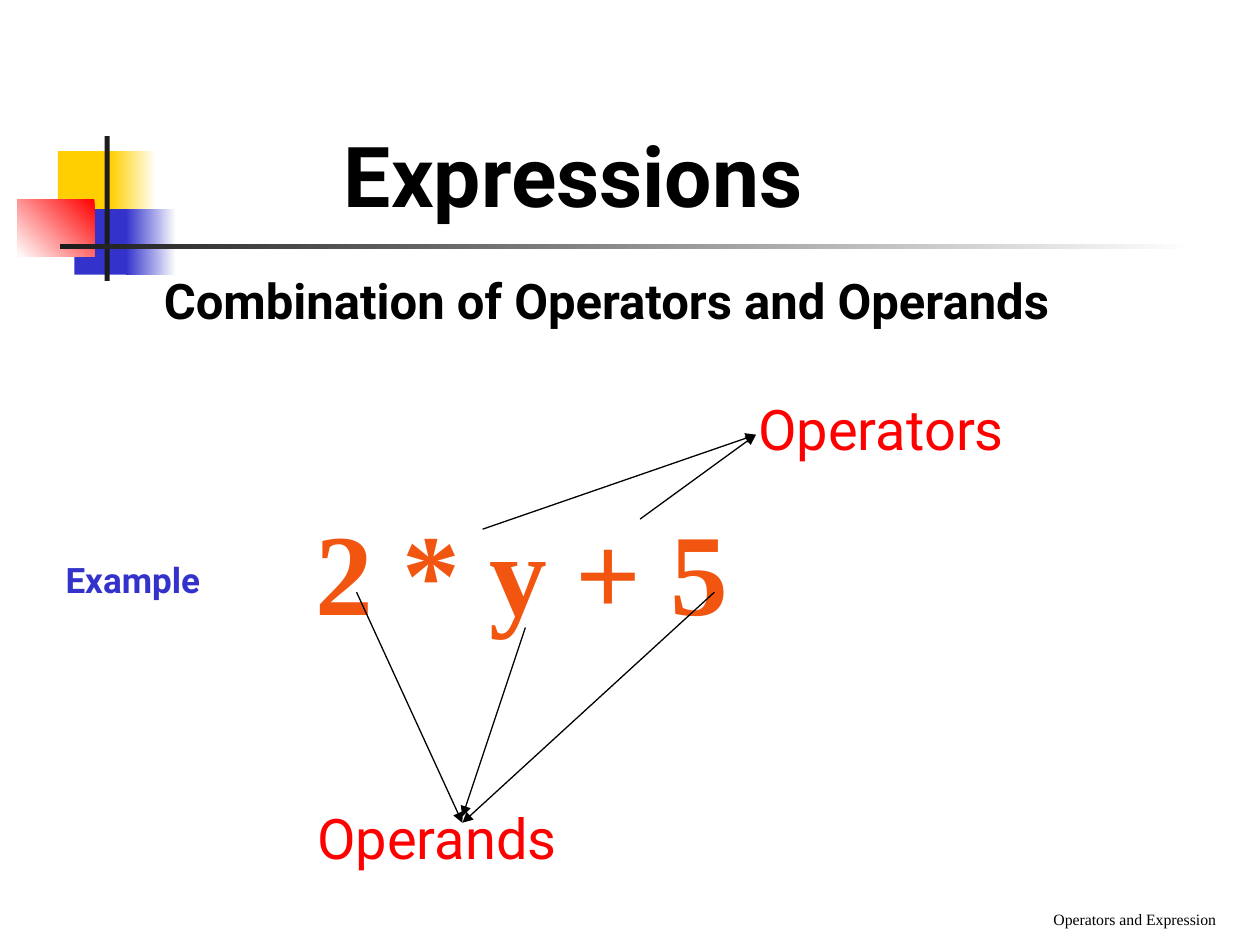
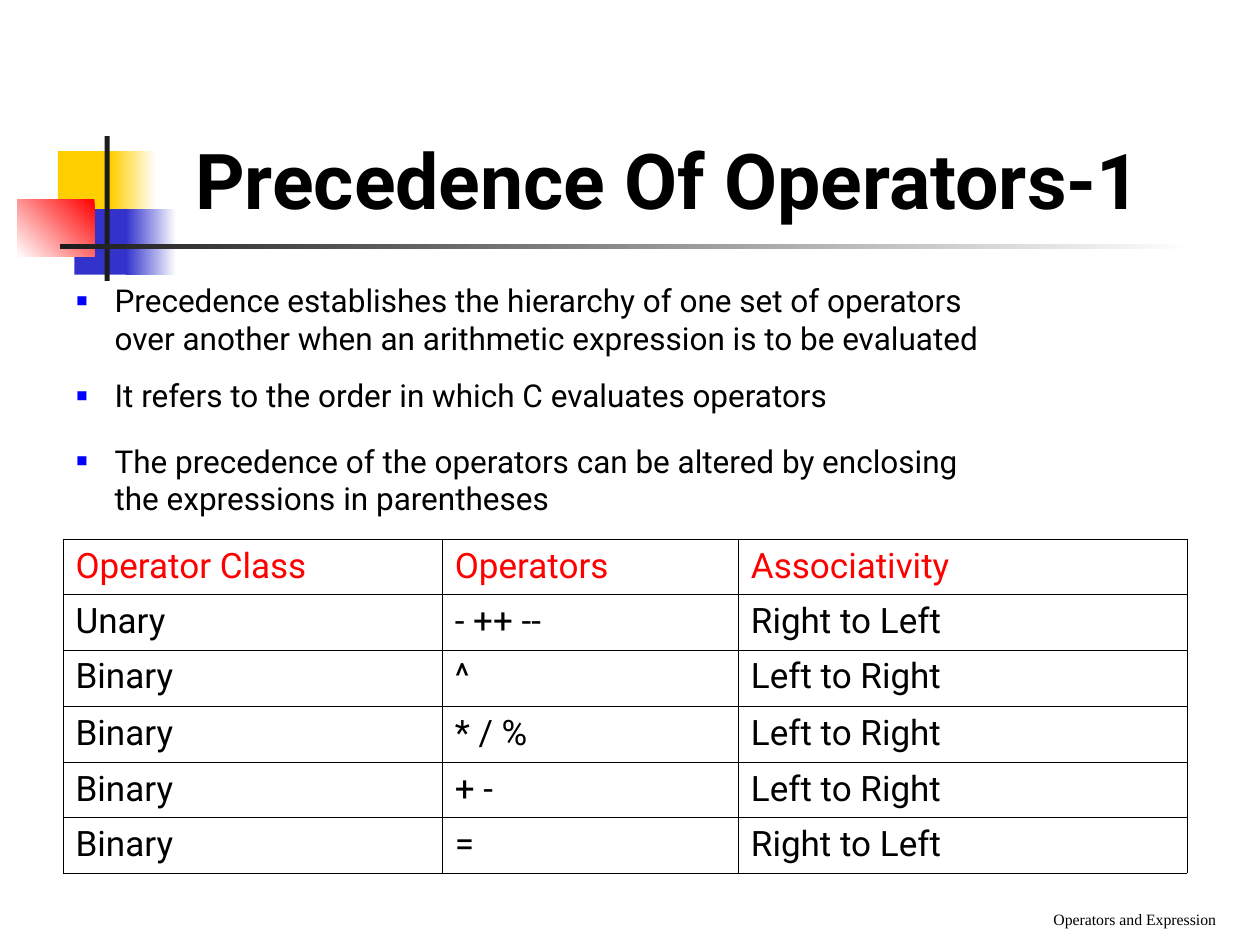
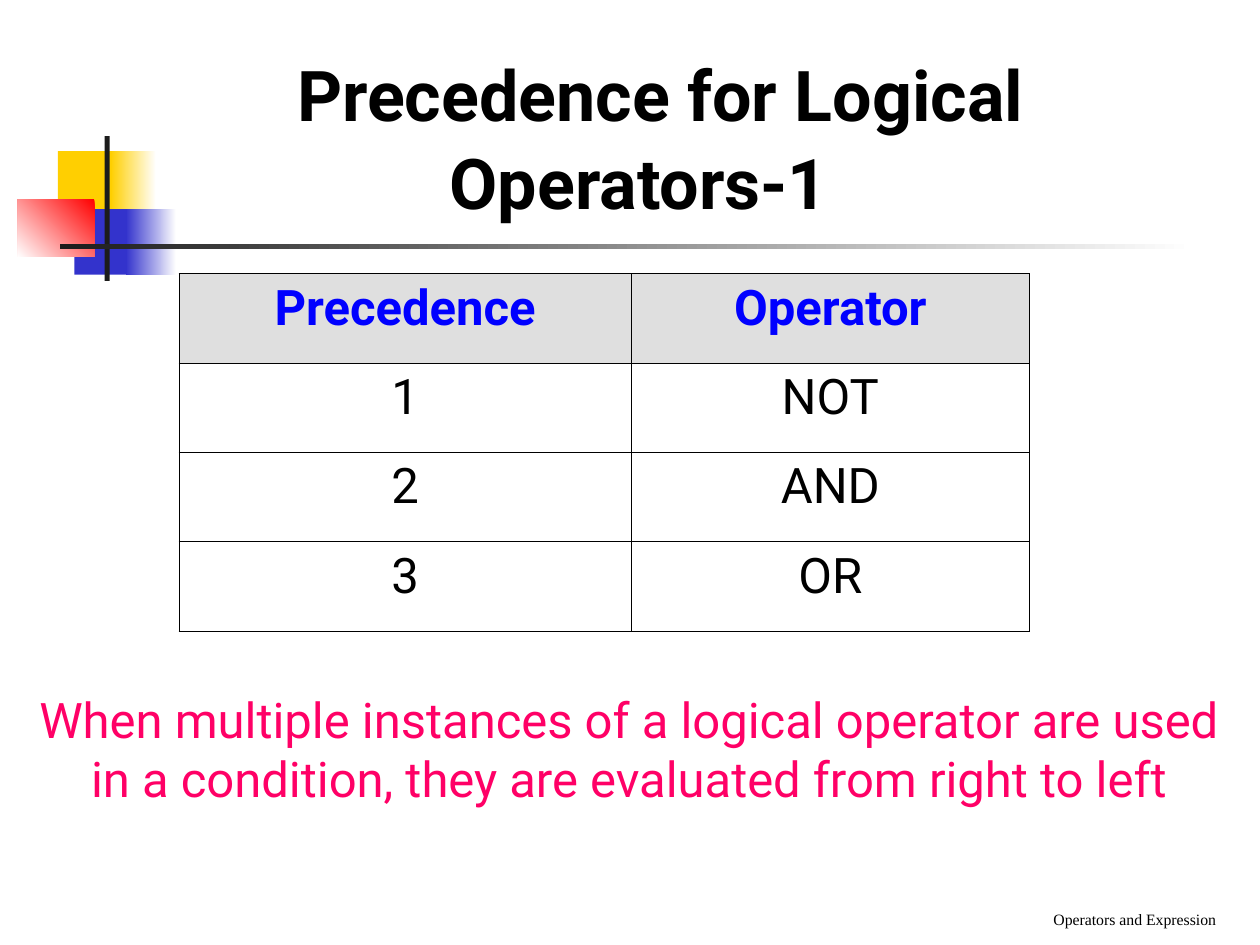
from lxml import etree
from pptx import Presentation
from pptx import util as u
from pptx.dml.color import RGBColor
from pptx.enum import shapes, text
from pptx.oxml import parse_xml
from pptx.oxml.ns import nsdecls, qn

BLACK = RGBColor(0, 0, 0)
WHITE = RGBColor(255, 255, 255)
YELLOW = RGBColor(0xFF, 0xCF, 0x01)
INDIGO = RGBColor(0x33, 0x33, 0xCC)
RED = RGBColor(255, 0, 0)
BLUE = RGBColor(0, 0, 255)
CHARCOAL = RGBColor(0x1C, 0x1C, 0x1C)
ORANGE = RGBColor(0xF1, 0x55, 0x0F)
PINK = RGBColor(0xFF, 0x00, 0x66)
GREY = RGBColor(0xDF, 0xDF, 0xDF)

SANS = "Roboto"
SERIF = "Times New Roman"
LEFT, CENTER, RIGHT = text.PP_ALIGN.LEFT, text.PP_ALIGN.CENTER, text.PP_ALIGN.RIGHT
TOP, MIDDLE, BOTTOM = text.MSO_ANCHOR.TOP, text.MSO_ANCHOR.MIDDLE, text.MSO_ANCHOR.BOTTOM

BAND = [
    ((0.46, 1.2, 0.48, 0.52), (YELLOW,), 0),
    ((0.88, 1.2, 0.36, 0.52), (WHITE, YELLOW), 180),
    ((0.59, 1.66, 0.46, 0.52), (INDIGO,), 0),
    ((1, 1.66, 0.4, 0.52), (WHITE, INDIGO), 180),
    ((0.14, 1.58, 0.61, 0.46), (RED, WHITE), 225),
    ((0.83, 1.08, 0.04, 1.15), (CHARCOAL,), 0),
    ((0.48, 1.94, 9, 0.04), (WHITE, CHARCOAL), 180),
]


class Deck:
    def __init__(self):
        self.prs = Presentation()
        self.prs.slide_width, self.prs.slide_height = u.Inches(10), u.Inches(7.5)

    def slide(self, layout):
        self.s = self.prs.slides.add_slide(self.prs.slide_layouts[layout])
        for box, colors, angle in BAND:
            self.block(box, colors, angle)
        self.text((3.67, 6.92, 6.08, 0.5), "Operators and Expression", 9, BLACK,
                  name=SERIF, align=RIGHT, anchor=BOTTOM)

    def block(self, box, colors, angle):
        sp = self.s.shapes.add_shape(shapes.MSO_SHAPE.RECTANGLE, *map(u.Inches, box))
        sp.shadow.inherit = False
        sp.line.fill.background()
        if len(colors) == 1:
            sp.fill.solid()
            sp.fill.fore_color.rgb = colors[0]
            return
        sp.fill.gradient()
        sp.fill.gradient_angle = angle
        for stop, color in zip(sp.fill.gradient_stops, colors):
            stop.color.rgb = color

    def font(self, font, size, color, name=SANS, bold=False):
        font.size, font.name, font.bold = u.Pt(size), name, bold
        font.color.rgb = color

    def frame(self, sp, anchor=TOP):
        tf = sp.text_frame
        tf.word_wrap = True
        tf.auto_size = text.MSO_AUTO_SIZE.NONE
        tf.vertical_anchor = anchor
        return tf

    def text(self, box, content, size, color, name=SANS, bold=False, align=LEFT, anchor=TOP):
        sp = self.s.shapes.add_textbox(*map(u.Inches, box))
        tf = self.frame(sp, anchor)
        p = tf.paragraphs[0]
        p.text, p.alignment = content, align
        self.font(p.font, size, color, name, bold)

    def place(self, sp, box):
        sp.left, sp.top, sp.width, sp.height = map(u.Inches, box)
        return self.frame(sp)

    def indent(self, p, margin, hanging=0):
        pPr = p._p.get_or_add_pPr()
        pPr.set("marL", str(u.Inches(margin)))
        pPr.set("indent", str(-u.Inches(hanging)))
        return pPr

    def title(self, box, lines, size, align=LEFT, margins=(0,), gap=0):
        tf = self.place(self.s.shapes.title, box)
        tf.text = "\n".join(lines)
        for p, margin in zip(tf.paragraphs, margins):
            p.alignment, p.space_before = align, u.Pt(gap)
            self.indent(p, margin)
            self.font(p.font, size, BLACK, bold=True)

    def body(self, box, lines, gaps):
        tf = self.place(self.s.placeholders[1], box)
        tf.text = "\n".join(lines)
        for p, gap in zip(tf.paragraphs, gaps):
            p.space_before = u.Pt(gap)
        return tf.paragraphs

    def mark(self, pPr, *items):
        at = pPr.index(pPr.find(qn("a:spcBef"))) + 1
        for i, item in enumerate(items):
            pPr.insert(at + i, parse_xml(item))

    def bullets(self, box, lines, gaps, size):
        for p in self.body(box, lines, gaps):
            self.font(p.font, size, BLACK)
            self.mark(self.indent(p, 0.31, 0.31),
                      f'<a:buClr {nsdecls("a")}><a:srgbClr val="{BLUE}"/></a:buClr>',
                      f'<a:buSzPct {nsdecls("a")} val="115000"/>',
                      f'<a:buChar {nsdecls("a")} char="▪"/>')

    def plain(self, p, margin):
        self.mark(self.indent(p, margin), f'<a:buNone {nsdecls("a")}/>')

    def arrow(self, start, end):
        cn = self.s.shapes.add_connector(shapes.MSO_CONNECTOR.STRAIGHT,
                                         *map(u.Inches, start + end))
        cn.line.color.rgb = BLACK
        cn.line.width = u.Pt(0.75)
        etree.SubElement(cn.line._get_or_add_ln(), qn("a:tailEnd"), type="triangle")
        etree.SubElement(cn._element.spPr, qn("a:effectLst"))

    def table(self, at, widths, heights, rows, size, head, align=LEFT, head_fill=None, head_bold=False):
        box = (*at, sum(widths), sum(heights))
        tb = self.s.shapes.add_table(len(rows), len(widths), *map(u.Inches, box)).table
        tb.first_row = tb.horz_banding = False
        for col, width in zip(tb.columns, widths):
            col.width = u.Inches(width)
        for i, (row, height) in enumerate(zip(rows, heights)):
            tb.rows[i].height = u.Inches(height)
            for j, value in enumerate(row):
                cell = tb.cell(i, j)
                self.borders(cell)
                cell.fill.background()
                if i == 0 and head_fill is not None:
                    cell.fill.solid()
                    cell.fill.fore_color.rgb = head_fill
                p = cell.text_frame.paragraphs[0]
                p.text, p.alignment = value, align
                self.font(p.font, size, BLACK if i else head, bold=head_bold and i == 0)

    def borders(self, cell):
        tcPr = cell._tc.get_or_add_tcPr()
        for side in "LRTB":
            tcPr.append(parse_xml(
                f'<a:ln{side} {nsdecls("a")} w="{u.Pt(0.45)}"><a:solidFill>'
                f'<a:srgbClr val="{BLACK}"/></a:solidFill></a:ln{side}>'))


def expressions(d):
    d.slide(1)
    d.title((2.63, 0.93, 5, 0.9), ["Expressions"], 48)
    heading, example = d.body((0.42, 2.1, 9.33, 3.08),
                              ["Combination of Operators and Operands", "Example"], (0, 131))
    d.font(heading.font, 28, BLACK, bold=True)
    d.plain(heading, 0.78)
    d.font(example.font, 20, INDIGO, bold=True)
    d.plain(example, 0)
    d.text((2.41, 3.92, 4, 1.2), "2 * y + 5", 66, ORANGE, name=SERIF, bold=True)
    for start in ((2.83, 4.7), (5.67, 4.7)):
        d.arrow(start, (3.67, 6.53))
    d.arrow((4.17, 4.98), (3.67, 6.48))
    d.text((2.42, 6.33, 3.64, 0.64), "Operands", 32, RED)
    for start in ((3.83, 4.2), (5.08, 4.12)):
        d.arrow(start, (6, 3.45))
    d.text((5.92, 3.08, 3.33, 0.64), "Operators", 32, RED)


def operator_precedence(d):
    d.slide(1)
    d.title((1.45, 1, 8.42, 0.84), ["Precedence Of Operators-1"], 44)
    d.bullets((0.5, 2.18, 9.5, 2.01), [
        "Precedence establishes the hierarchy of one set of operators\v"
        "over another when an arithmetic expression is to be evaluated",
        "It refers to the order in which C evaluates operators",
        "The precedence of the operators can be altered by enclosing\v"
        "the expressions in parentheses",
    ], (0, 11, 16), 18)
    d.table((0.5, 4.28), (3.01, 2.35, 3.56), (0.44, 0.44, 0.45, 0.44, 0.44, 0.44), [
        ("Operator Class", "Operators", "Associativity"),
        ("Unary", "- ++ --", "Right to Left"),
        ("Binary", "^", "Left to Right"),
        ("Binary", "* / %", "Left to Right"),
        ("Binary", "+ -", "Left to Right"),
        ("Binary", "=", "Right to Left"),
    ], 20, RED)


def logical_precedence(d):
    d.slide(5)
    d.title((0, 0.36, 10, 1.46), ["Precedence for Logical", "Operators-1"], 40,
            align=CENTER, margins=(0.48, 0.14), gap=2)
    d.table((1.42, 2.17), (3.59, 3.16), (0.71,) * 4, [
        ("Precedence", "Operator"), ("1", "NOT"), ("2", "AND"), ("3", "OR"),
    ], 28, BLUE, align=CENTER, head_fill=GREY, head_bold=True)
    d.text((0.2, 5.19, 9.58, 1.5),
           "When multiple instances of a logical operator are used in a condition, "
           "they are evaluated from right to left",
           28, PINK, align=CENTER, anchor=MIDDLE)


def main():
    d = Deck()
    expressions(d)
    operator_precedence(d)
    logical_precedence(d)
    d.prs.save("out.pptx")


if __name__ == "__main__":
    main()
